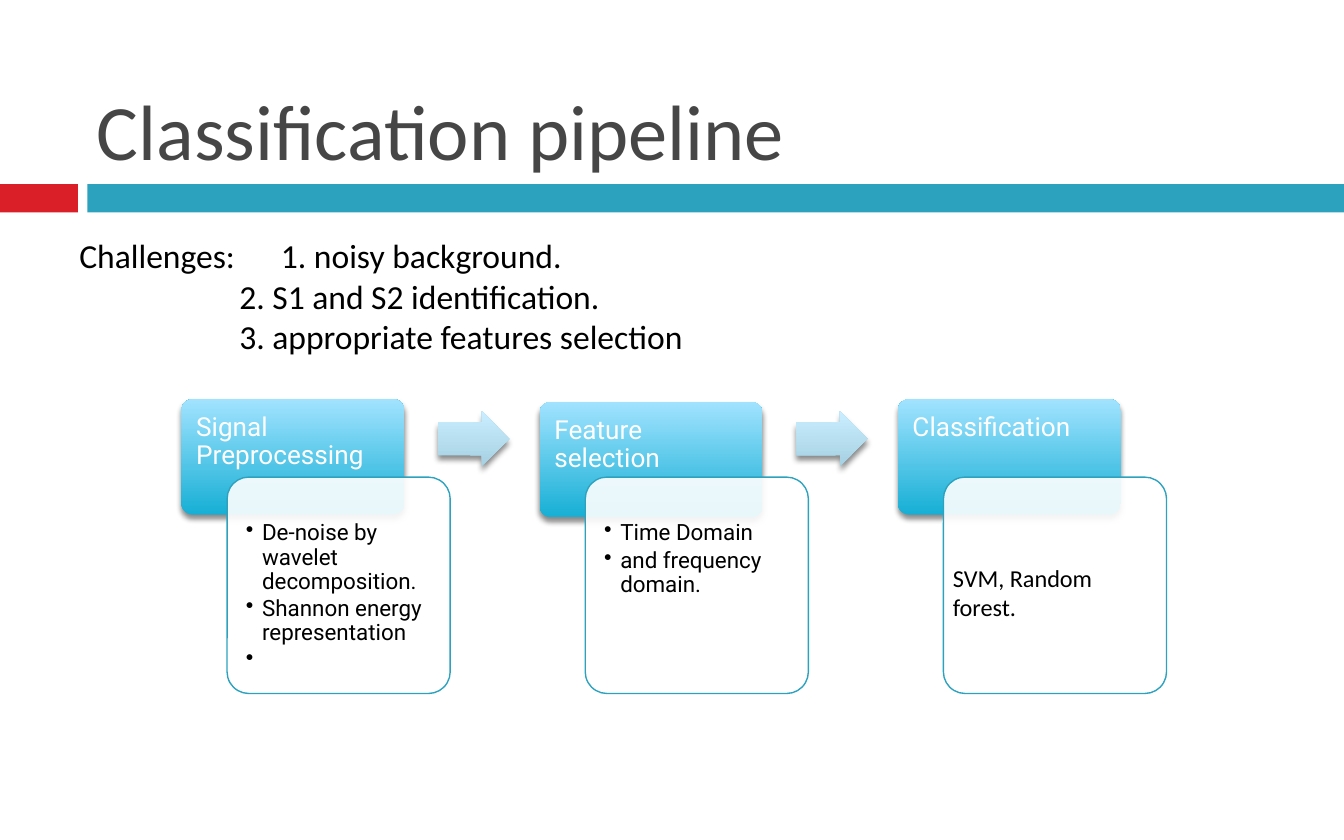
from dataclasses import dataclass
from lxml.etree import SubElement
from pptx import Presentation
from pptx.dml.color import RGBColor
from pptx.enum.shapes import MSO_SHAPE
from pptx.enum.text import MSO_ANCHOR, MSO_AUTO_SIZE, PP_ALIGN
from pptx.oxml.ns import qn
from pptx.util import Inches, Pt


@dataclass(frozen=True)
class Theme:
    red: str = "DA1F28"
    teal: str = "2DA2BF"
    grey: str = "464646"
    black: str = "000000"
    white: str = "FFFFFF"
    card: tuple = ("17AFD5", "A1E3FF")
    arrow: tuple = ("A6D1E2", "CAEEFF")
    font: str = "Calibri"
    alt: str = "Roboto"
    title: int = 42
    body: int = 18
    head: int = 14
    note: int = 13
    item: int = 12


def add(parent, tag, **attrs):
    return SubElement(parent, qn(tag), attrs)


class Board:
    def __init__(self, slide, theme):
        self.slide = slide
        self.theme = theme

    def place(self, shape, box):
        shape.left, shape.top, shape.width, shape.height = map(Inches, box)

    def frame(self, shape, pads=(0.05,) * 4, anchor=MSO_ANCHOR.TOP):
        frame = shape.text_frame
        frame.word_wrap = True
        frame.auto_size = MSO_AUTO_SIZE.NONE
        frame.vertical_anchor = anchor
        (frame.margin_left, frame.margin_top,
         frame.margin_right, frame.margin_bottom) = map(Inches, pads)
        return frame

    def style(self, para, size, color, font):
        para.alignment = PP_ALIGN.LEFT
        para.font.size = Pt(size)
        para.font.name = font
        para.font.color.rgb = RGBColor.from_string(color)

    def title(self, text, box):
        shape = self.slide.shapes.title
        self.place(shape, box)
        frame = self.frame(shape, anchor=MSO_ANCHOR.BOTTOM)
        frame.text = text
        self.style(frame.paragraphs[0], self.theme.title,
                   self.theme.grey, self.theme.font)

    def body(self, lines, box, indent, tab):
        shape = self.slide.placeholders[1]
        self.place(shape, box)
        frame = self.frame(shape)
        frame.text = "\n".join(lines)
        for i, para in enumerate(frame.paragraphs):
            para.space_before = Pt(0)
            props = para._p.get_or_add_pPr()
            props.set("marL", str(Inches(indent if i else 0)))
            props.set("indent", "0")
            add(props, "a:buNone")
            if i == 0:
                tabs = add(props, "a:tabLst")
                add(tabs, "a:tab", pos=str(Inches(tab)), algn="l")
            self.style(para, self.theme.body, self.theme.black, self.theme.font)

    def shape(self, kind, box, fill, adjust=()):
        shape = self.slide.shapes.add_shape(kind, *map(Inches, box))
        shape.shadow.inherit = False
        shape.line.fill.background()
        for i, value in enumerate(adjust):
            shape.adjustments[i] = value
        if isinstance(fill, tuple):
            shape.fill.gradient()
            shape.fill.gradient_angle = 90
            for stop, color in zip(shape.fill.gradient_stops, fill):
                stop.color.rgb = RGBColor.from_string(color)
        else:
            shape.fill.solid()
            shape.fill.fore_color.rgb = RGBColor.from_string(fill)
        return shape

    def shade(self, shape):
        effects = shape._element.spPr.find(qn("a:effectLst"))
        outer = add(effects, "a:outerShdw", blurRad=str(Pt(3)),
                    dist=str(Pt(2.4)), dir="5400000", rotWithShape="0")
        color = add(outer, "a:srgbClr", val=self.theme.black)
        add(color, "a:alpha", val="45000")

    def card(self, box):
        self.shade(self.shape(MSO_SHAPE.ROUNDED_RECTANGLE, box,
                              self.theme.card, (0.1,)))

    def arrow(self, box, turn):
        shape = self.shape(MSO_SHAPE.RIGHT_ARROW, box,
                           self.theme.arrow, (0.6, 0.5))
        shape.rotation = turn
        self.shade(shape)

    def panel(self, box):
        shape = self.shape(MSO_SHAPE.ROUNDED_RECTANGLE, box,
                           self.theme.white, (0.1,))
        color = shape.fill._xPr.find(qn("a:solidFill"))[0]
        add(color, "a:alpha", val="90000")
        shape.line.color.rgb = RGBColor.from_string(self.theme.teal)
        shape.line.width = Pt(0.75)

    def text(self, text, box, size, color, font, pads=(0.05,) * 4, space=1.0):
        shape = self.slide.shapes.add_textbox(*map(Inches, box))
        frame = self.frame(shape, pads)
        frame.text = text
        for para in frame.paragraphs:
            para.line_spacing = space
            self.style(para, size, color, font)

    def items(self, lines, box):
        shape = self.slide.shapes.add_textbox(*map(Inches, box))
        frame = self.frame(shape, (0.09,) * 4)
        frame.text = "\n".join(lines)
        for para in frame.paragraphs:
            para.line_spacing = 0.9
            para.space_after = Pt(1.8)
            props = para._p.get_or_add_pPr()
            props.set("marL", str(Inches(0.12)))
            props.set("indent", str(Inches(-0.12)))
            add(props, "a:buChar", char="•")
            self.style(para, self.theme.item, self.theme.black, self.theme.alt)


def main():
    deck = Presentation()
    deck.slide_width, deck.slide_height = Inches(10), Inches(6.25)
    theme = Theme()
    board = Board(deck.slides.add_slide(deck.slide_layouts[1]), theme)

    board.shape(MSO_SHAPE.RECTANGLE, (0, 1.37, 0.58, 0.21), theme.red)
    board.shape(MSO_SHAPE.RECTANGLE, (0.65, 1.37, 9.35, 0.21), theme.teal)
    board.title("Classification pipeline", (0.67, 0.14, 8.92, 1.22))
    board.body(["Challenges:\t1. noisy background.",
                "2. S1 and S2 identification.",
                "3. appropriate features selection"],
               (0.54, 1.7, 4.89, 1.2), 1.19, 1.45)

    steps = [
        ("Signal Preprocessing", 2.97,
         ["De-noise by wavelet decomposition.",
          "Shannon energy representation", " "]),
        ("Feature selection", 2.99,
         ["Time Domain", "and frequency domain."]),
        ("Classification", 2.97, []),
    ]
    left, pitch, wide = 1.35, 2.665, 1.66
    for i, (head, top, lines) in enumerate(steps):
        x = left + i * pitch
        board.card((x, top, wide, 0.86))
        board.text(head, (x, top, wide, 0.57), theme.head, theme.white,
                   theme.alt, (0.11, 0.11, 0.11, 0.06), 0.9)
        board.panel((x + 0.34, 3.55, wide, 1.61))
        if lines:
            board.items(lines, (x + 0.39, 3.79, 1.56, 1.31))
    for i, turn in enumerate((0.3, -0.3)):
        board.arrow((left + 1.91 + i * pitch, 3.06, 0.53, 0.41), turn)
    board.text("SVM, Random forest.", (7.04, 4.14, 1.64, 0.5),
               theme.note, theme.black, theme.font)
    deck.save("out.pptx")


if __name__ == "__main__":
    main()
